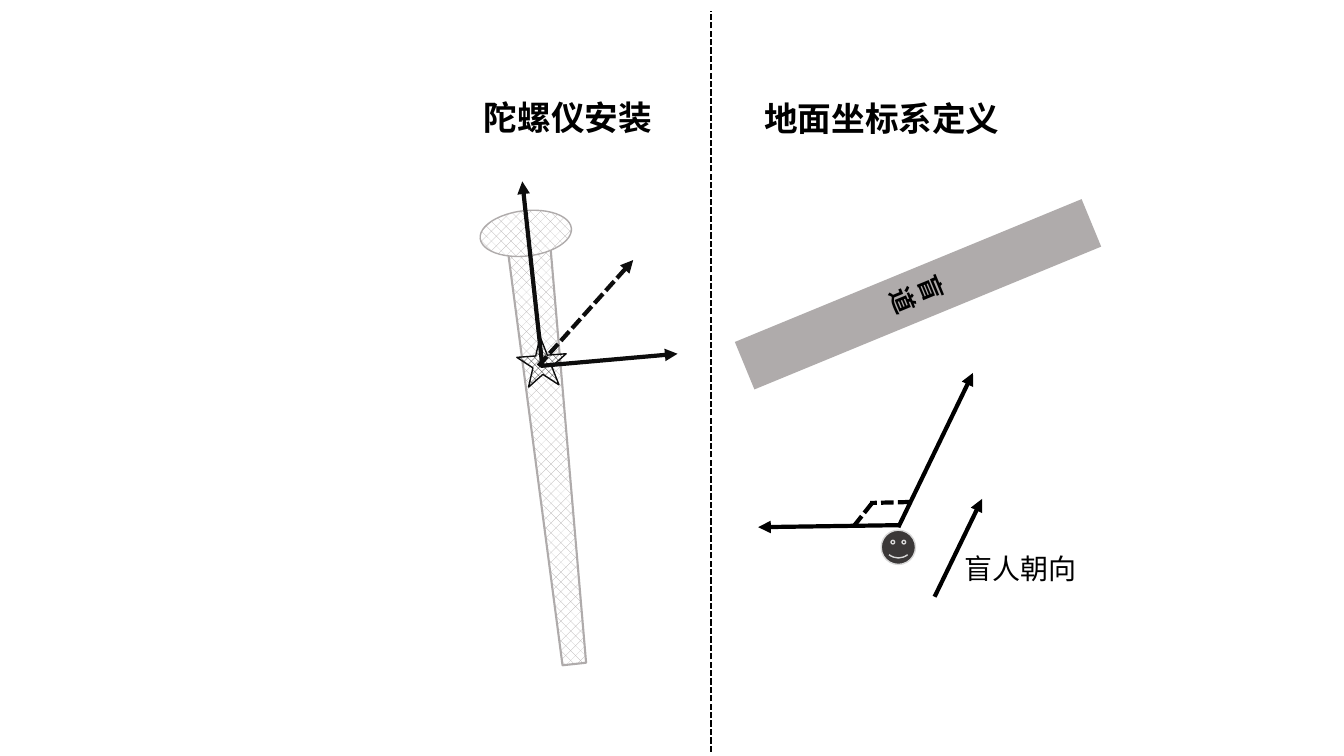
from lxml import etree
from pptx import Presentation
from pptx.dml.color import RGBColor
from pptx.enum.dml import MSO_LINE, MSO_PATTERN
from pptx.enum.shapes import MSO_CONNECTOR, MSO_SHAPE
from pptx.enum.text import MSO_ANCHOR, MSO_AUTO_SIZE, PP_ALIGN
from pptx.oxml.ns import qn
from pptx.util import Inches, Pt

FONT = "Noto Sans CJK SC"
BLACK = RGBColor(0x00, 0x00, 0x00)
INK = RGBColor(0x0D, 0x0D, 0x0D)
GRAY = RGBColor(0xAF, 0xAB, 0xAB)
FACE = RGBColor(0x3B, 0x38, 0x38)
FACE_EDGE = RGBColor(0xD9, 0xD9, 0xD9)
WHITE = RGBColor(0xFF, 0xFF, 0xFF)

STRAIGHT = MSO_CONNECTOR.STRAIGHT
DASH = MSO_LINE.SQUARE_DOT
LIGHT_PATTERN = MSO_PATTERN.PERCENT_30
DENSE_PATTERN = MSO_PATTERN.PERCENT_50

COMPARISON_LAYOUT = 4
LEFT_HEADING, RIGHT_HEADING = 1, 3  # placeholder numbers in that layout


def write(shape, text, size, bold=False, align=PP_ALIGN.LEFT):
    paragraph = shape.text_frame.paragraphs[0]
    paragraph.text = text
    paragraph.alignment = align
    paragraph.space_before = Pt(0)
    font = paragraph.runs[0].font
    font.size, font.bold, font.name = Pt(size), bold, FONT
    font.color.rgb = BLACK
    east_asian = etree.SubElement(paragraph.runs[0]._r.rPr, qn("a:ea"))
    east_asian.set("typeface", FONT)


def fit_on_one_line(frame):
    frame.word_wrap = False
    frame.auto_size = MSO_AUTO_SIZE.SHAPE_TO_FIT_TEXT
    frame.vertical_anchor = MSO_ANCHOR.TOP


def add_heading(slide, number, text, left, top, width):
    heading = slide.placeholders[number]
    heading.left, heading.top = Inches(left), Inches(top)
    heading.width, heading.height = Inches(width), Inches(0.5)
    fit_on_one_line(heading.text_frame)
    write(heading, text, 24, bold=True)


def add_figure(slide, kind, left, top, width, height, color,
               rotation=0, pattern=None, edge=None, edge_width=1):
    figure = slide.shapes.add_shape(
        kind, Inches(left), Inches(top), Inches(width), Inches(height))
    figure.shadow.inherit = False
    figure.rotation = rotation
    if pattern is None:
        figure.fill.solid()
        figure.fill.fore_color.rgb = color
    else:
        figure.fill.patterned()
        figure.fill.pattern = pattern
        figure.fill.fore_color.rgb = color
        figure.fill.back_color.rgb = WHITE
    if edge is None:
        figure.line.fill.background()
    else:
        figure.line.color.rgb = edge
        figure.line.width = Pt(edge_width)
    return figure


def add_line(slide, start, end, color=BLACK, width=3, dashed=False, arrow=False):
    line = slide.shapes.add_connector(
        STRAIGHT, *(Inches(value) for value in (*start, *end)))
    line.line.color.rgb = color
    line.line.width = Pt(width)
    if dashed:
        line.line.dash_style = DASH
    if arrow:
        etree.SubElement(line.line._get_or_add_ln(), qn("a:tailEnd"), type="triangle")
    etree.SubElement(line._element.spPr, qn("a:effectLst"))


def gyroscope_panel(slide, left, top):
    add_heading(slide, LEFT_HEADING, "陀螺仪安装", left + 0.2, top + 0.01, 1.88)

    # Cane with the sensor on its shaft
    shaft = add_figure(slide, MSO_SHAPE.TRAPEZOID, left + 0.75, top + 1.43, 0.43, 4.27,
                       GRAY, 173.8, LIGHT_PATTERN, GRAY, 1.5)
    shaft.adjustments[0] = 0.227
    add_figure(slide, MSO_SHAPE.STAR_5_POINT, left + 0.63, top + 2.44, 0.49, 0.49,
               INK, 355.8, DENSE_PATTERN, INK)
    add_figure(slide, MSO_SHAPE.OVAL, left + 0.26, top + 1.19, 0.91, 0.45,
               GRAY, 353.5, LIGHT_PATTERN, GRAY)

    # Sensor axes
    for x1, y1, x2, y2, dashed in [
        (0.88, 2.74, 0.68, 0.9, False),
        (0.86, 2.73, 2.22, 2.61, False),
        (0.84, 2.73, 1.78, 1.68, True),
    ]:
        add_line(slide, (left + x1, top + y1), (left + x2, top + y2),
                 INK, dashed=dashed, arrow=True)


def ground_panel(slide, left, top):
    add_heading(slide, RIGHT_HEADING, "地面坐标系定义", left + 0.18, top + 0.02, 2.56)

    # Tactile paving; the narrow box stacks its two characters
    paving = add_figure(slide, MSO_SHAPE.RECTANGLE, left + 1.55, top + 0.16, 0.51, 3.72,
                        GRAY, 67.6)
    paving.text_frame.word_wrap = True
    paving.text_frame.vertical_anchor = MSO_ANCHOR.MIDDLE
    write(paving, "盲道", 18, bold=True, align=PP_ALIGN.CENTER)

    # Walker
    add_figure(slide, MSO_SHAPE.SMILEY_FACE, left + 1.44, top + 4.36, 0.34, 0.34,
               FACE, edge=FACE_EDGE)

    # Ground axes and heading arrow, then the dashed angle mark
    for x1, y1, x2, y2, is_axis in [
        (1.61, 4.33, 2.35, 2.8, True),
        (1.62, 4.31, 0.22, 4.33, True),
        (1.97, 5.02, 2.44, 4.05, True),
        (1.73, 4.08, 1.33, 4.09, False),
        (1.35, 4.09, 1.16, 4.33, False),
    ]:
        add_line(slide, (left + x1, top + y1), (left + x2, top + y2),
                 dashed=not is_axis, arrow=is_axis)

    direction_label = slide.shapes.add_textbox(
        Inches(left + 2.17), Inches(top + 4.52), Inches(1.32), Inches(0.44))
    fit_on_one_line(direction_label.text_frame)
    write(direction_label, "盲人朝向", 20)


def main():
    deck = Presentation()
    deck.slide_width, deck.slide_height = Inches(13.33), Inches(7.5)
    slide = deck.slides.add_slide(deck.slide_layouts[COMPARISON_LAYOUT])
    for placeholder in list(slide.placeholders):
        if placeholder.placeholder_format.idx not in (LEFT_HEADING, RIGHT_HEADING):
            placeholder.element.getparent().remove(placeholder.element)

    # Divider between the two panels
    add_line(slide, (7.05, 7.46), (7.05, 0.11), width=1.5, dashed=True)
    gyroscope_panel(slide, 4.5, 0.9)
    ground_panel(slide, 7.3, 0.9)
    deck.save("out.pptx")


if __name__ == "__main__":
    main()
